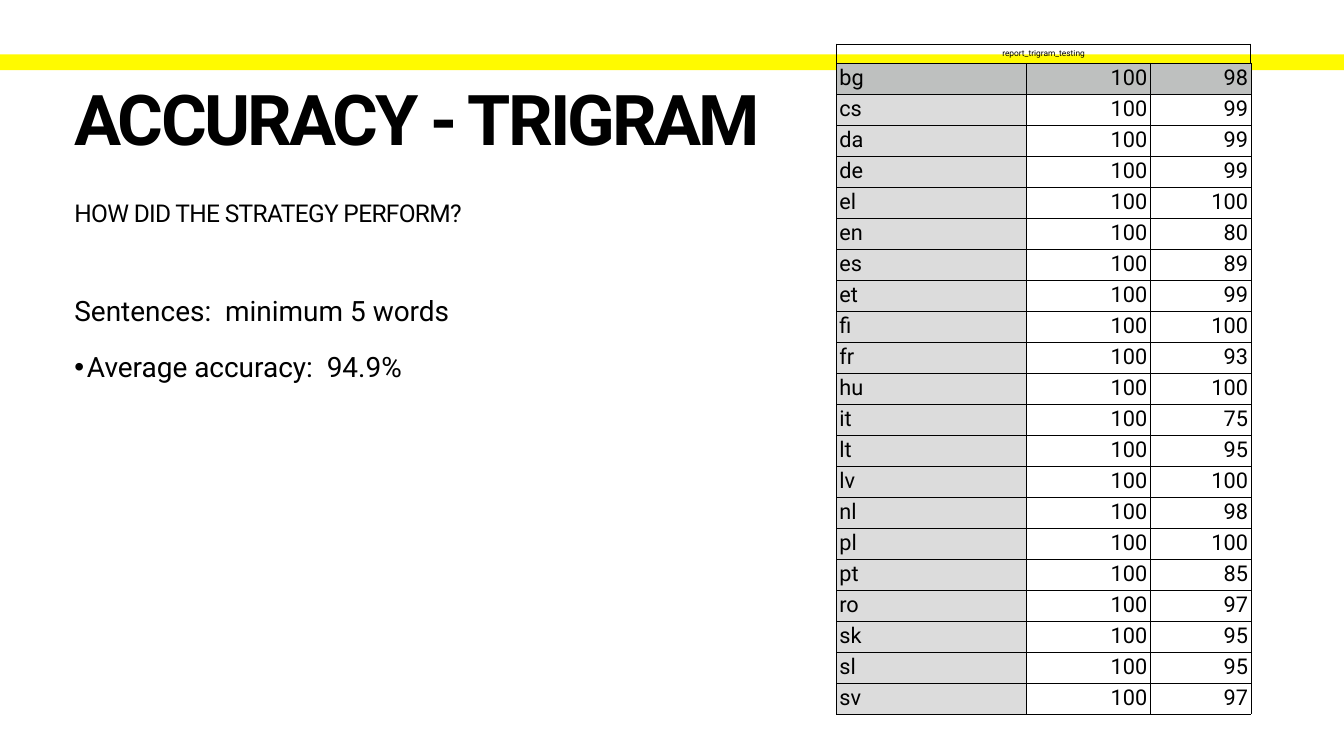
from lxml.etree import SubElement
from pptx import Presentation
from pptx.dml.color import RGBColor
from pptx.enum.shapes import MSO_SHAPE
from pptx.enum.text import MSO_ANCHOR, MSO_AUTO_SIZE, PP_ALIGN
from pptx.oxml.ns import qn
from pptx.util import Inches, Pt

FONT = "Roboto"
COLORS = {"text": "000000", "band": "FFFA00", "first_row": "BEC0BF", "language": "DCDCDC"}
INSET = Pt(4)
THIN, MEDIUM, THICK = 0.35, 0.75, 1
COLUMN_WIDTHS = [3.77, 2.45, 2]
HEADER_HEIGHT, ROW_HEIGHT = 0.38, 0.53
SENTENCES = 100
ACCURACY = {
    "bg": 98, "cs": 99, "da": 99, "de": 99, "el": 100, "en": 80, "es": 89,
    "et": 99, "fi": 100, "fr": 93, "hu": 100, "it": 75, "lt": 95, "lv": 100,
    "nl": 98, "pl": 100, "pt": 85, "ro": 97, "sk": 95, "sl": 95, "sv": 97,
}


def rgb(name):
    return RGBColor.from_string(COLORS[name])


def write(p, text, size, bold=False, spacing=0, align=PP_ALIGN.LEFT, before=0, line=1.0):
    """Fill a paragraph with one formatted run."""
    p.alignment, p.line_spacing = align, line
    p.space_before = Pt(before)
    r = p.add_run()
    r.text = text
    r.font.name, r.font.size, r.font.bold = FONT, Pt(size), bold
    r.font.color.rgb = rgb("text")
    if spacing:
        r.font._element.set("spc", str(spacing * 100))


def set_bullet(p, char=None, indent=0.25):
    """Give a paragraph a hanging bullet, or none at all."""
    pPr = p._p.get_or_add_pPr()
    hang = Inches(indent) if char else 0
    pPr.set("marL", str(hang))
    pPr.set("indent", str(-hang))
    if char:
        SubElement(pPr, qn("a:buChar"), char=char)
    else:
        SubElement(pPr, qn("a:buNone"))


def place(sp, left, top, width, height):
    """Move a placeholder to its box and return its text frame."""
    sp.left, sp.top = Inches(left), Inches(top)
    sp.width, sp.height = Inches(width), Inches(height)
    tf = sp.text_frame
    tf.margin_left = tf.margin_right = tf.margin_top = tf.margin_bottom = INSET
    tf.vertical_anchor = MSO_ANCHOR.TOP
    tf.auto_size = MSO_AUTO_SIZE.NONE
    tf.word_wrap = True
    return tf


def add_band(s, left, top, width, height):
    sp = s.shapes.add_shape(MSO_SHAPE.RECTANGLE, Inches(left), Inches(top),
                            Inches(width), Inches(height))
    sp.shadow.inherit = False
    sp.fill.solid()
    sp.fill.fore_color.rgb = rgb("band")
    sp.line.fill.background()
    s.shapes._spTree.insert(2, sp._element)  # behind the placeholders


def add_title(s, *box):
    tf = place(s.shapes.title, *box)
    write(tf.paragraphs[0], "ACCURACY - TRIGRAM", 100, bold=True, spacing=-4, line=0.8)


def add_subtitle(s, *box):
    p = place(s.placeholders[1], *box).paragraphs[0]
    write(p, "HOW DID THE STRATEGY PERFORM?", 35, spacing=-1)
    set_bullet(p)


def add_findings(s, *box):
    tf = place(s.placeholders[2], *box)
    lines = [("Sentences:  minimum 5 words", None), ("Average accuracy:  94.9%", "•")]
    for i, (text, char) in enumerate(lines):
        p = tf.add_paragraph() if i else tf.paragraphs[0]
        write(p, text, 40, before=33)
        set_bullet(p, char)


def format_cell(cell, widths, fill=None, anchor=MSO_ANCHOR.TOP):
    """Set margins, border widths (left, right, top, bottom) and fill."""
    cell.margin_left = cell.margin_right = cell.margin_top = cell.margin_bottom = INSET
    cell.vertical_anchor = anchor
    tcPr = cell._tc.get_or_add_tcPr()
    for side, width in zip("LRTB", widths):
        ln = SubElement(tcPr, qn(f"a:ln{side}"), w=str(Pt(width)))
        SubElement(SubElement(ln, qn("a:solidFill")), qn("a:srgbClr"), val=COLORS["text"])
    if fill:
        cell.fill.solid()
        cell.fill.fore_color.rgb = rgb(fill)
    else:
        cell.fill.background()


def add_accuracy_table(s, left, top):
    n = len(ACCURACY) + 1
    height = HEADER_HEIGHT + ROW_HEIGHT * (n - 1)
    table = s.shapes.add_table(n, 3, Inches(left), Inches(top),
                               Inches(sum(COLUMN_WIDTHS)), Inches(height)).table
    table.first_row = table.horz_banding = False
    for column, width in zip(table.columns, COLUMN_WIDTHS):
        column.width = Inches(width)
    for i, row in enumerate(table.rows):
        row.height = Inches(ROW_HEIGHT if i else HEADER_HEIGHT)

    header = table.cell(0, 0)
    header.merge(table.cell(0, 2))
    for c in range(3):
        format_cell(table.cell(0, c), (THICK, THICK, THICK, THIN), anchor=MSO_ANCHOR.MIDDLE)
    write(header.text_frame.paragraphs[0], "report_trigram_testing", 12,
          align=PP_ALIGN.CENTER, before=6)

    for i, (language, score) in enumerate(ACCURACY.items(), 1):
        for c, value in enumerate((language, SENTENCES, score)):
            cell = table.cell(i, c)
            if i == 1:
                widths, fill = (THIN, THIN, THIN, MEDIUM), "first_row"
            else:
                widths = (MEDIUM if c == 1 else THIN, MEDIUM if c == 0 else THIN,
                          MEDIUM if i == 2 else THIN, THIN)
                fill = None if c else "language"
            format_cell(cell, widths, fill)
            write(cell.text_frame.paragraphs[0], str(value), 31,
                  align=PP_ALIGN.RIGHT if c else PP_ALIGN.LEFT)


def main():
    prs = Presentation()
    prs.slide_width, prs.slide_height = Inches(26.67), Inches(15)
    s = prs.slides.add_slide(prs.slide_layouts.get_by_name("Two Content"))
    left, width = 1.42, 23.92
    add_band(s, 0, 1.08, 26.67, 0.31)
    add_title(s, left, 1.77, width, 1.94)
    add_subtitle(s, left, 3.88, width, 0.76)
    add_findings(s, left, 5.76, width, 7.81)
    add_accuracy_table(s, 16.6, 0.87)
    prs.save("out.pptx")


if __name__ == "__main__":
    main()
